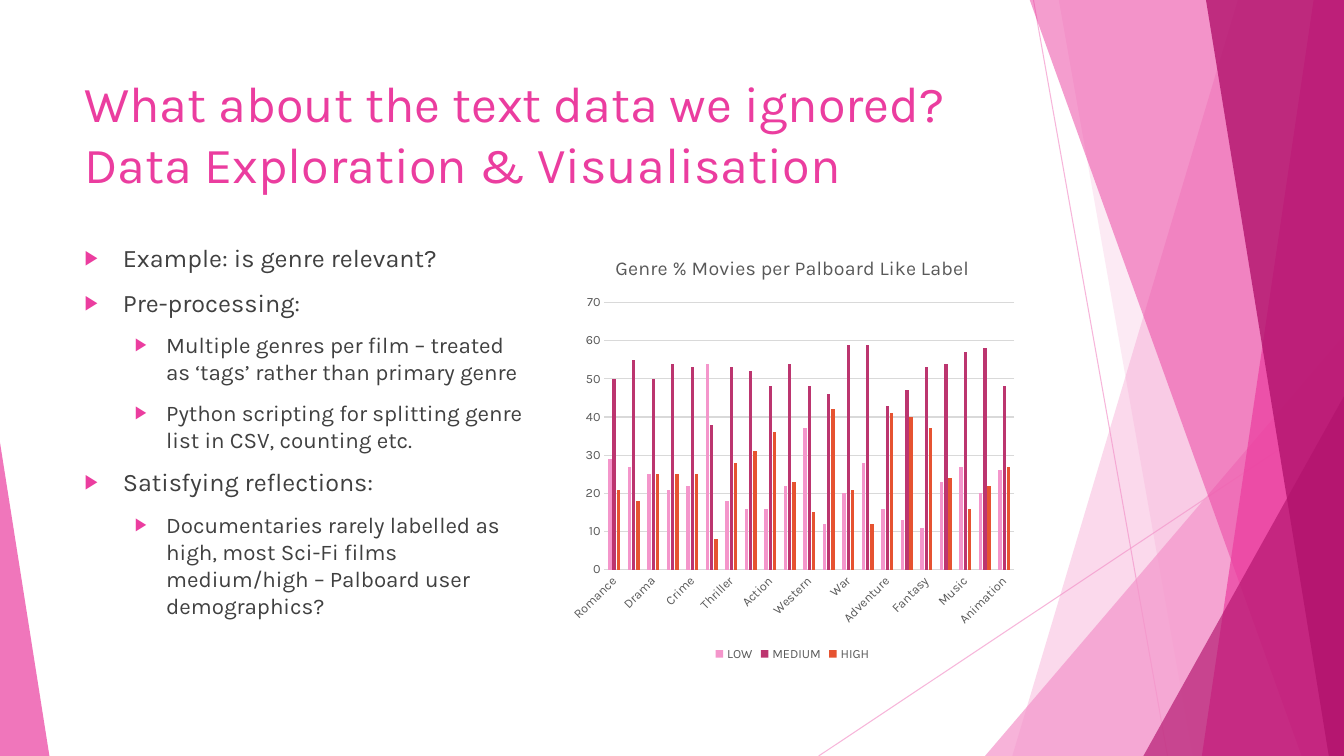
"""Build the genre exploration slide with its faceted backdrop, bullets and chart."""
from dataclasses import dataclass

from lxml import etree
from pptx import Presentation
from pptx import util as u
from pptx.chart import data as cd
from pptx.dml import color
from pptx.enum import chart as ce, shapes as se, text as te
from pptx.oxml import ns

FONT = "Karla"
COLORS = {
    "light": "F496CB", "pink": "EB3D9F", "deep": "B2136D", "body": "404040",
    "label": "595959", "grid": "D9D9D9", "medium": "BC356F", "high": "E65331",
}
TOP, RIGHT, BOTTOM = -0.01, 13.33, 7.5


@dataclass(frozen=True)
class Ray:
    start: tuple[float, float]
    end: tuple[float, float]


@dataclass(frozen=True)
class Facet:
    top_left: float
    bottom_left: float
    fill: str
    alpha: int


@dataclass(frozen=True)
class Corner:
    left: float
    top: float
    width: float
    apex: int
    fill: str
    alpha: int


@dataclass(frozen=True)
class Bullet:
    words: str
    level: int = 0


@dataclass(frozen=True)
class Series:
    name: str
    fill: str
    values: tuple[int, ...]


RAYS = [Ray((10.25, 0), (11.58, BOTTOM)), Ray((RIGHT, 4.03), (8.12, BOTTOM))]
BACKDROP = [
    Facet(12.28, 10.04, "light", 36),
    Facet(10.5, 11.83, "light", 20),
    Corner(9.77, 3.33, 3.56, 1, "light", 72),
    Facet(10.21, 12.91, "pink", 50),
    Facet(13.03, 11.92, "pink", 70),
    Facet(11.96, 13.18, "deep", 80),
    Corner(11.34, 3.93, 1.99, 1, "deep", 66),
    Corner(0, 4.39, 0.49, 0, "pink", 70),
]
TITLE = ["What about the text data we ignored?", "Data Exploration & Visualisation"]
BULLETS = [
    Bullet("Example: is genre relevant?"),
    Bullet("Pre-processing:"),
    Bullet("Multiple genres per film – treated as ‘tags’ rather than primary genre", 1),
    Bullet("Python scripting for splitting genre list in CSV, counting etc.", 1),
    Bullet("Satisfying reflections:"),
    Bullet("Documentaries rarely labelled as high, most Sci-Fi films "
           "medium/high – Palboard user demographics?", 1),
]
GENRES = [
    "Romance", "Comedy", "Drama", "Horror", "Crime", "Documentary", "Thriller",
    "Mystery", "Action", "Family", "Western", "Sci-Fi", "War", "Musical",
    "Adventure", "Biography", "Fantasy", "History", "Music", "Sport", "Animation",
]
SERIES = [
    Series("LOW", "light", (29, 27, 25, 21, 22, 54, 18, 16, 16, 22, 37, 12, 20, 28,
                            16, 13, 11, 23, 27, 20, 26)),
    Series("MEDIUM", "medium", (50, 55, 50, 54, 53, 38, 53, 52, 48, 54, 48, 46, 59, 59,
                                43, 47, 53, 54, 57, 58, 48)),
    Series("HIGH", "high", (21, 18, 25, 25, 25, 8, 28, 31, 36, 23, 15, 42, 21, 12,
                            41, 40, 37, 24, 16, 22, 27)),
]


def rgb(name: str) -> color.RGBColor:
    return color.RGBColor.from_string(COLORS[name])


def set_alpha(el, alpha: int) -> None:
    clr = next(el.iter(ns.qn("a:srgbClr")))
    etree.SubElement(clr, ns.qn("a:alpha"), val=str(alpha * 1000))


def style_font(font, size: float, fill: str) -> None:
    font.name, font.size, font.bold = FONT, u.Pt(size), False
    font.color.rgb = rgb(fill)


def style_line(line, fill: str) -> None:
    line.color.rgb, line.width = rgb(fill), u.Pt(0.75)


def draw_ray(s, ray: Ray) -> None:
    cx = s.shapes.add_connector(se.MSO_CONNECTOR.STRAIGHT,
                                *map(u.Inches, ray.start + ray.end))
    style_line(cx.line, "light")
    set_alpha(cx.line._ln, 70)
    etree.SubElement(cx._element.spPr, ns.qn("a:effectLst"))


def draw_backdrop(s, part: Facet | Corner) -> None:
    if isinstance(part, Facet):
        pts = [(u.Inches(x), u.Inches(y)) for x, y in (
            (part.top_left, TOP), (RIGHT, TOP), (RIGHT, BOTTOM), (part.bottom_left, BOTTOM))]
        fb = s.shapes.build_freeform(*pts[0])
        fb.add_line_segments(pts[1:], close=True)
        sp = fb.convert_to_shape()
    else:
        sp = s.shapes.add_shape(
            se.MSO_SHAPE.ISOSCELES_TRIANGLE, u.Inches(part.left), u.Inches(part.top),
            u.Inches(part.width), u.Inches(BOTTOM - part.top))
        sp.adjustments[0] = part.apex
    sp.shadow.inherit = False
    sp.line.fill.background()
    sp.fill.solid()
    sp.fill.fore_color.rgb = rgb(part.fill)
    set_alpha(sp._element.spPr, part.alpha)


def add_box(s, left: float, top: float, width: float, height: float):
    tf = s.shapes.add_textbox(*map(u.Inches, (left, top, width, height))).text_frame
    tf.word_wrap = True
    tf.vertical_anchor = te.MSO_ANCHOR.TOP
    return tf


def add_run(p, words: str, *, size: float, fill: str) -> None:
    r = p.add_run()
    r.text = words
    style_font(r.font, size, fill)


def add_bullet(p, bullet: Bullet) -> None:
    p.level = bullet.level
    p.space_before = u.Pt(10)
    left, hang = ((0.38, 0.38), (0.81, 0.31))[bullet.level]
    pPr = p._p.get_or_add_pPr()
    pPr.set("marL", str(u.Inches(left)))
    pPr.set("indent", str(-u.Inches(hang)))
    clr = etree.SubElement(pPr, ns.qn("a:buClr"))
    etree.SubElement(clr, ns.qn("a:srgbClr"), val=COLORS["pink"])
    etree.SubElement(pPr, ns.qn("a:buSzPct"), val="80000")
    etree.SubElement(pPr, ns.qn("a:buFont"), typeface="Arial")
    etree.SubElement(pPr, ns.qn("a:buChar"), char="▶")
    add_run(p, bullet.words, size=18 - 2 * bullet.level, fill="body")


def add_genre_chart(s) -> None:
    data = cd.CategoryChartData(number_format="0")
    data.categories = GENRES
    for item in SERIES:
        data.add_series(item.name, item.values)
    ch = s.shapes.add_chart(ce.XL_CHART_TYPE.COLUMN_CLUSTERED,
                            *map(u.Inches, (5.57, 2.36, 4.58, 4.24)), data).chart
    style_font(ch.font, 10, "label")
    ch.has_title = True
    add_run(ch.chart_title.text_frame.paragraphs[0],
            "Genre % Movies per Palboard Like Label", size=14, fill="label")
    ch.chart_title.include_in_layout = False
    ch.has_legend = True
    ch.legend.position = ce.XL_LEGEND_POSITION.BOTTOM
    ch.legend.include_in_layout = False
    style_font(ch.legend.font, 9, "label")

    plot = ch.plots[0]
    plot.gap_width, plot.overlap, plot.vary_by_categories = 219, -27, False
    for series, item in zip(plot.series, SERIES):
        series.format.fill.solid()
        series.format.fill.fore_color.rgb = rgb(item.fill)

    cat, val = ch.category_axis, ch.value_axis
    for axis in (cat, val):
        axis.major_tick_mark = axis.minor_tick_mark = ce.XL_TICK_MARK.NONE
        style_font(axis.tick_labels.font, 9, "label")
    style_line(cat.format.line, "grid")
    cat._element.txPr.find(ns.qn("a:bodyPr")).set("rot", "-2700000")
    skip = etree.Element(ns.qn("c:tickLblSkip"), val="2")
    cat._element.find(ns.qn("c:noMultiLvlLbl")).addprevious(skip)
    val.format.line.fill.background()
    val.minimum_scale, val.maximum_scale, val.major_unit = 0, 70, 10
    style_line(val.major_gridlines.format.line, "grid")


def main() -> None:
    prs = Presentation()
    prs.slide_width, prs.slide_height = u.Inches(RIGHT), u.Inches(BOTTOM)
    s = prs.slides.add_slide(prs.slide_layouts[6])
    for ray in RAYS:
        draw_ray(s, ray)
    for part in BACKDROP:
        draw_backdrop(s, part)
    p = add_box(s, 0.74, 0.67, 9.4, 1.44).paragraphs[0]
    add_run(p, TITLE[0], size=36, fill="pink")
    p.add_line_break()
    add_run(p, TITLE[1], size=36, fill="pink")
    tf = add_box(s, 0.74, 2.36, 4.58, 4.24)
    for i, bullet in enumerate(BULLETS):
        add_bullet(tf.add_paragraph() if i else tf.paragraphs[0], bullet)
    add_genre_chart(s)
    prs.save("out.pptx")


if __name__ == "__main__":
    main()
